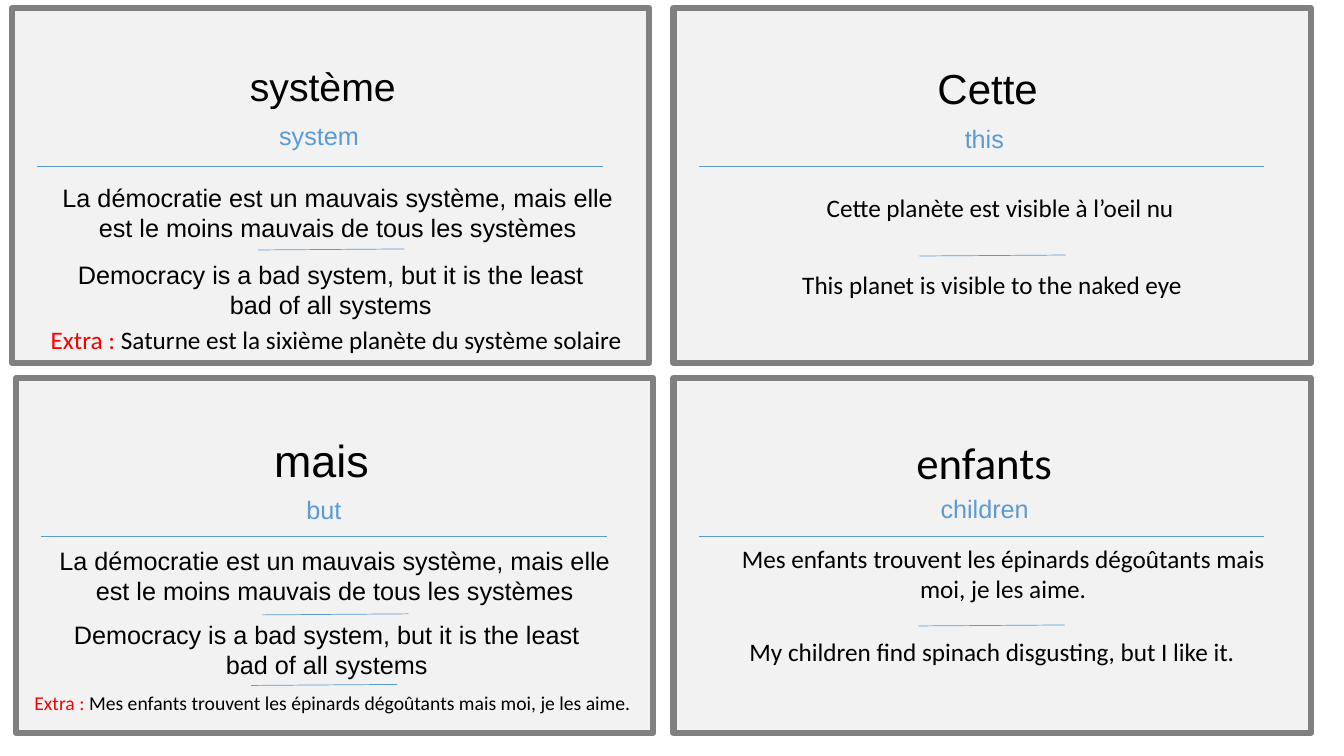
from dataclasses import dataclass

from lxml.etree import SubElement
from pptx import Presentation
from pptx.dml.color import RGBColor
from pptx.enum.shapes import MSO_CONNECTOR, MSO_SHAPE
from pptx.enum.text import MSO_AUTO_SIZE, PP_ALIGN
from pptx.oxml.ns import qn
from pptx.util import Inches, Pt

BLACK = RGBColor(0x00, 0x00, 0x00)
BLUE = RGBColor(0x5B, 0x9B, 0xD5)
RED = RGBColor(0xFF, 0x00, 0x00)
CARD_FILL = RGBColor(0xF2, 0xF2, 0xF2)
CARD_BORDER = RGBColor(0x80, 0x80, 0x80)

CARD_WIDTH, CARD_HEIGHT = 6.32, 3.52
RULE_WIDTH, DIVIDER_WIDTH = 5.61, 1.45

DEMOCRACY_FRENCH = ("La démocratie est un mauvais système, mais elle "
                    "est le moins mauvais de tous les systèmes")
DEMOCRACY_ENGLISH = "Democracy is a bad system, but it is the least bad of all systems"
CHILDREN_FRENCH = "Mes enfants trouvent les épinards dégoûtants mais moi, je les aime."


@dataclass
class Label:
    text: str
    left: float
    top: float
    width: float
    size: int = 18
    font: str = "Arial"
    lines: int = 1


@dataclass
class Card:
    left: float
    top: float
    word: Label
    translation: Label
    sentences: list
    dividers: list
    extra: Label = None


CARDS = [
    Card(0.12, 0.08,
         Label("système", 2.38, 0.57, 2.19, 28),
         Label("system", 2.67, 1.14, 1),
         [Label(DEMOCRACY_FRENCH, 0.51, 1.76, 5.68, lines=2),
          Label(DEMOCRACY_ENGLISH, 0.49, 2.52, 5.58, lines=2)],
         [(2.56, 2.48)],
         Label("Saturne est la sixième planète du système solaire",
               0.37, 3.17, 5.93, font="Calibri")),
    Card(6.68, 0.08,
         Label("Cette", 9.2, 0.57, 1.44, 30),
         Label("this", 9.47, 1.17, 0.59),
         [Label("Cette planète est visible à l’oeil nu", 7.08, 1.86, 5.68, font="Calibri"),
          Label("This planet is visible to the naked eye", 7.05, 2.62, 5.58, font="Calibri")],
         [(9.12, 2.54)]),
    Card(0.16, 3.75,
         Label("mais", 2.62, 4.24, 1.2, 32),
         Label("but", 2.94, 4.85, 0.55),
         [Label(DEMOCRACY_FRENCH, 0.48, 5.36, 5.68, lines=2),
          Label(DEMOCRACY_ENGLISH, 0.45, 6.09, 5.58, lines=2)],
         [(2.6, 6.1), (2.49, 6.8)],
         Label(CHILDREN_FRENCH, 0.21, 6.8, 6.18, 14, "Calibri")),
    Card(6.68, 3.75,
         Label("enfants", 8.99, 4.26, 1.62, 32, "Calibri"),
         Label("children", 9.23, 4.84, 1.09),
         [Label(CHILDREN_FRENCH, 7.16, 5.34, 5.58, font="Calibri", lines=2),
          Label("My children find spinach disgusting, but I like it.",
                7.05, 6.26, 5.58, font="Calibri")],
         [(9.11, 6.21)]),
]


def add_frame(slide, left, top):
    frame = slide.shapes.add_shape(MSO_SHAPE.RECTANGLE, Inches(left), Inches(top),
                                   Inches(CARD_WIDTH), Inches(CARD_HEIGHT))
    frame.shadow.inherit = False
    frame.fill.solid()
    frame.fill.fore_color.rgb = CARD_FILL
    frame.line.color.rgb = CARD_BORDER
    frame.line.width = Pt(4.5)


def add_label(slide, label, color=BLACK, align=PP_ALIGN.LEFT, wrap=True, lead=""):
    """Add a text box, with an optional red lead-in before its text."""
    height = 0.1 + 1.2 * label.size / 72 * label.lines
    box = slide.shapes.add_textbox(Inches(label.left), Inches(label.top),
                                   Inches(label.width), Inches(height))
    text_frame = box.text_frame
    text_frame.word_wrap = wrap
    text_frame.auto_size = MSO_AUTO_SIZE.SHAPE_TO_FIT_TEXT
    paragraph = text_frame.paragraphs[0]
    paragraph.alignment = align
    for text, run_color in ((lead, RED), (label.text, color)):
        if text:
            run = paragraph.add_run()
            run.text = text
            run.font.size = Pt(label.size)
            run.font.name = label.font
            run.font.color.rgb = run_color


def add_line(slide, left, top, width, rise=0):
    line = slide.shapes.add_connector(MSO_CONNECTOR.STRAIGHT, Inches(left), Inches(top),
                                      Inches(left + width), Inches(top - rise))
    line.line.color.rgb = BLUE
    line.line.width = Pt(0.5)
    SubElement(line._element.spPr, qn("a:effectLst"))


def add_card(slide, card):
    add_frame(slide, card.left, card.top)
    add_label(slide, card.word)
    add_label(slide, card.translation, BLUE, wrap=False)
    add_line(slide, card.left + 0.25, card.top + 1.57, RULE_WIDTH)
    for sentence in card.sentences:
        add_label(slide, sentence, align=PP_ALIGN.CENTER)
    for left, top in card.dividers:
        add_line(slide, left, top, DIVIDER_WIDTH, rise=0.01)
    if card.extra:
        add_label(slide, card.extra, align=PP_ALIGN.CENTER, wrap=False, lead="Extra : ")


def main():
    presentation = Presentation()
    presentation.slide_width = Inches(13.33)
    presentation.slide_height = Inches(7.5)
    slide = presentation.slides.add_slide(presentation.slide_layouts[6])
    for card in CARDS:
        add_card(slide, card)
    presentation.save("out.pptx")


if __name__ == "__main__":
    main()
